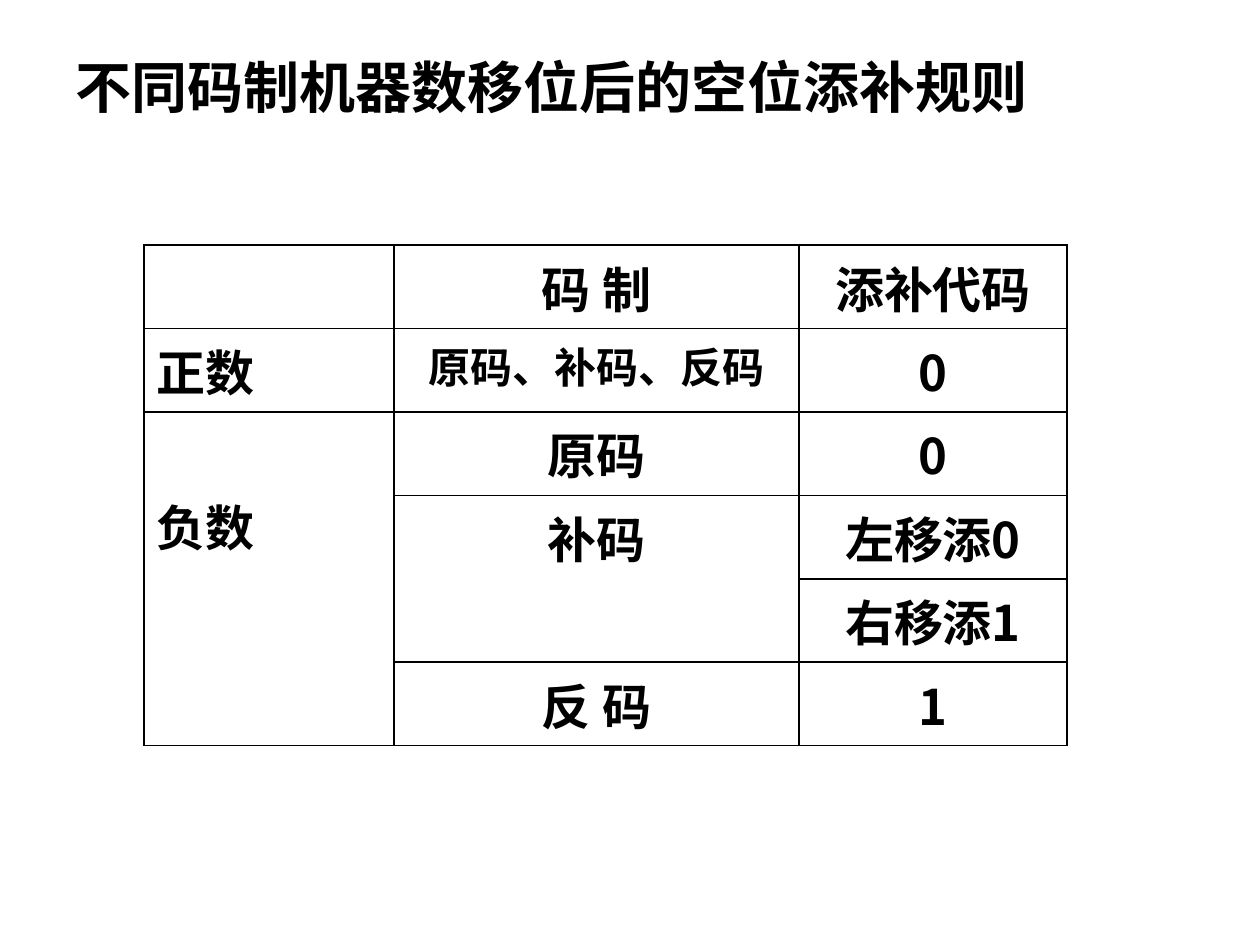
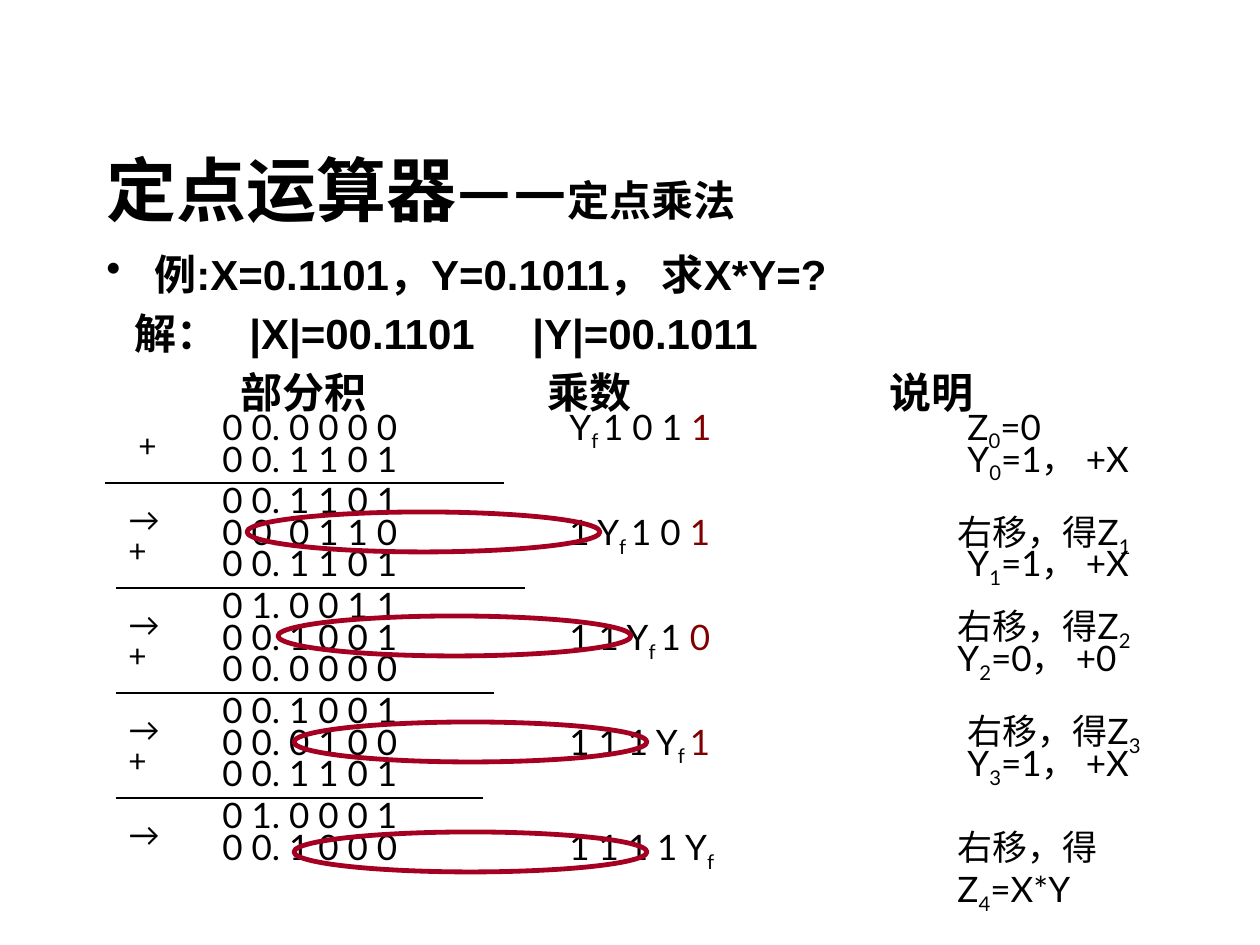
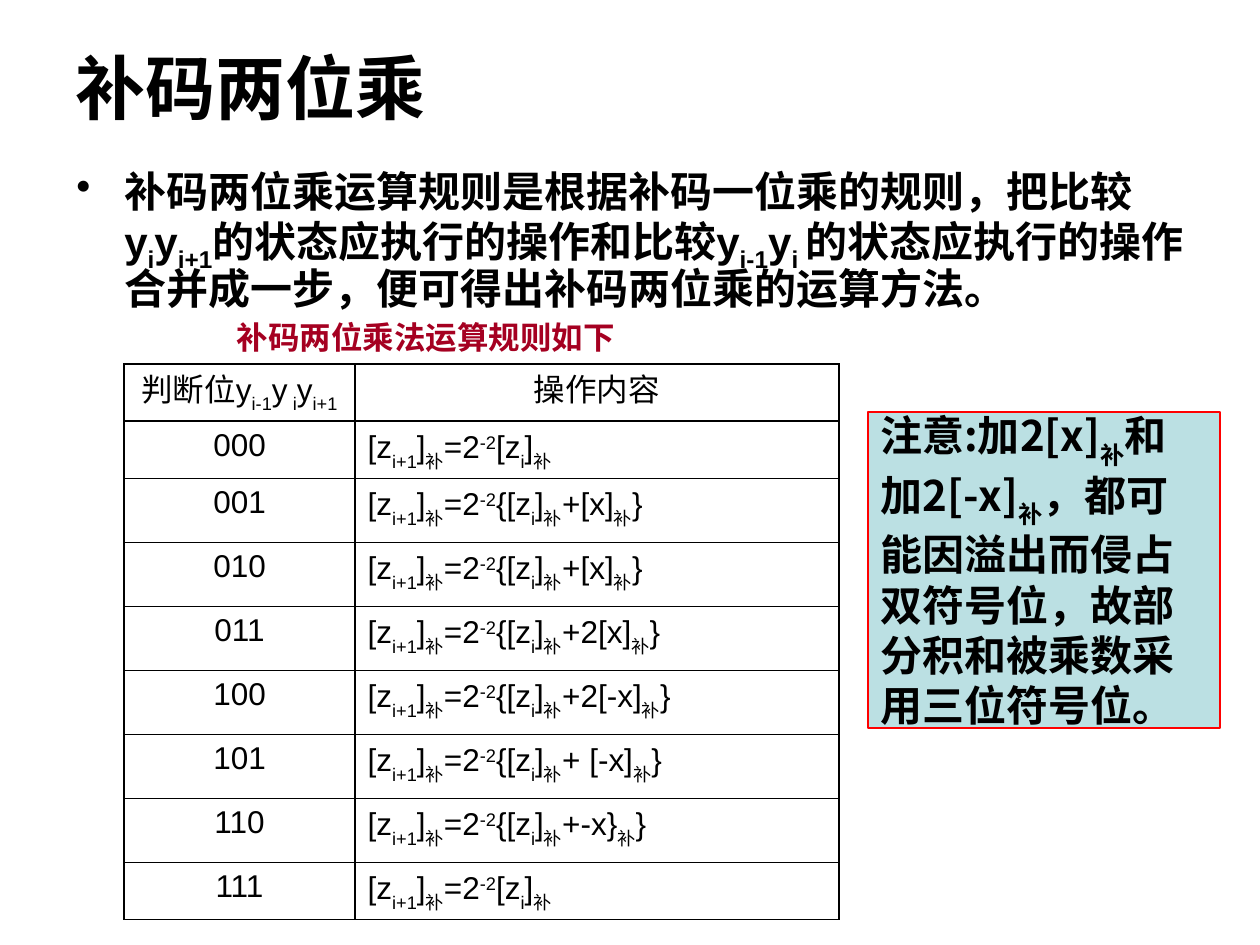
import pptx
import pptx.dml.color
import pptx.enum.shapes
import pptx.enum.text
import pptx.oxml
import pptx.oxml.ns
import pptx.util
import lxml.etree

PX = 914400 / 126
BLACK = pptx.dml.color.RGBColor(0x00, 0x00, 0x00)
WHITE = pptx.dml.color.RGBColor(0xFF, 0xFF, 0xFF)
CRIMSON = pptx.dml.color.RGBColor(0xA5, 0x00, 0x21)
MAROON = pptx.dml.color.RGBColor(0x80, 0x00, 0x00)
RED = pptx.dml.color.RGBColor(0xFF, 0x00, 0x00)
PALE_BLUE = pptx.dml.color.RGBColor(0xBB, 0xE0, 0xE3)
CJK = "Noto Sans CJK SC"
EAST_ASIAN = "Lato"
CENTER = pptx.enum.text.PP_ALIGN.CENTER
LEFT = pptx.enum.text.PP_ALIGN.LEFT
MIDDLE = pptx.enum.text.MSO_ANCHOR.MIDDLE
qn = pptx.oxml.ns.qn


def write(paragraph, text, size, name="Arial", bold=False, color=BLACK, shift=25000):
    """Pieces are split by `; a leading _ lowers, ^ raises, # turns maroon."""
    for piece in text.split("`"):
        mark = piece[0] if piece[0] in "_^#" else ""
        run = paragraph.add_run()
        run.text = piece[len(mark):]
        formats = {"size": pptx.util.Pt(size), "name": name, "bold": bold}
        for key, value in formats.items():
            setattr(run.font, key, value)
        run.font.color.rgb = MAROON if mark == "#" else color
        properties = run.font._element
        east_asian = lxml.etree.SubElement(properties, qn("a:ea"))
        east_asian.set("typeface", CJK if name == CJK else EAST_ASIAN)
        if mark in ("_", "^"):
            properties.set("baseline", str(-shift if mark == "_" else shift))


def add_grid(slide, left, top, widths, heights):
    """Add a table with white cells and thin black borders."""
    frame = slide.shapes.add_table(
        len(heights), len(widths), *[
            round(v * PX) for v in (left, top, sum(widths), sum(heights))])
    table = frame.table
    table.first_row = table.horz_banding = False
    for column, width in zip(table.columns, widths):
        column.width = round(width * PX)
    for row, height in zip(table.rows, heights):
        row.height = round(height * PX)
    for cell in table.iter_cells():
        cell.fill.solid()
        cell.fill.fore_color.rgb = WHITE
        for index, side in enumerate(("lnL", "lnR", "lnT", "lnB")):
            border = pptx.oxml.parse_xml(
                f'<a:{side} xmlns:a="http://schemas.openxmlformats.org/drawingml/2006/main"'
                f' w="12700"><a:solidFill><a:srgbClr val="{BLACK}"/></a:solidFill></a:{side}>')
            cell._tc.get_or_add_tcPr().insert(index, border)
    return table


presentation = pptx.Presentation()
presentation.slide_width = pptx.util.Inches(10)
presentation.slide_height = pptx.util.Inches(7.5)

# Slides and titles
titles = [
    ((63, 38, 1134, 97), [("不同码制机器数移位后的空位添补规则", 32)]),
    ((94, 136, 1061, 105), [("定点运算器——", 40), ("定点乘法", 24)]),
    ((63, 38, 1134, 97), [("补码两位乘", 40)]),
]
for box, parts in titles:
    slide = presentation.slides.add_slide(presentation.slide_layouts[5])
    title = slide.shapes.title
    for key, value in zip(("left", "top", "width", "height"), box):
        setattr(title, key, round(value * PX))
    title.text_frame.vertical_anchor = MIDDLE
    title.text_frame.auto_size = pptx.enum.text.MSO_AUTO_SIZE.NONE
    paragraph = title.text_frame.paragraphs[0]
    paragraph.alignment = LEFT
    for text, size in parts:
        write(paragraph, text, size, bold=True)
rules_slide, product_slide, two_bit_slide = presentation.slides

# Bulleted body text
bodies = [
    (product_slide, (94, 242, 1071, 598), 1.0, "例:X=0.1101，Y=0.1011， 求X*Y=?"),
    (two_bit_slide, (64, 165, 1134, 179), 0.9,
     "补码两位乘运算规则是根据补码一位乘的规则，把比较y`_i`y`_i+1`的状态应执行的操作和比较"
     "y`_i-1`y`_i `的状态应执行的操作合并成一步，便可得出补码两位乘的运算方法。"),
]
body_frames = []
for slide, box, spacing, text in bodies:
    frame = slide.shapes.add_textbox(*[round(v * PX) for v in box]).text_frame
    frame.word_wrap = True
    paragraph = frame.paragraphs[0]
    properties = paragraph._p.get_or_add_pPr()
    properties.set("marL", str(round(48 * PX)))
    properties.set("indent", str(round(-48 * PX)))
    lxml.etree.SubElement(properties, qn("a:buChar")).set("char", "•")
    paragraph.line_spacing = spacing
    write(paragraph, text, 24, bold=True)
    body_frames.append(frame)

# Fill rules table
rules = add_grid(rules_slide, 144, 245, (250, 405, 268), [83] * 6)
rules.cell(2, 0).merge(rules.cell(5, 0))
rules.cell(3, 1).merge(rules.cell(4, 1))
rules.cell(2, 0).margin_top = round(78 * PX)
rule_rows = [
    ("", "码 制", "添补代码"),
    ("正数", "原码、补码、反码", "0"),
    ("负数", "原码", "0"),
    ("", "补码", "左移添0"),
    ("", "", "右移添1"),
    ("", "反 码", "1"),
]
for row, texts in enumerate(rule_rows):
    for column, text in enumerate(texts):
        if text:
            paragraph = rules.cell(row, column).text_frame.paragraphs[0]
            paragraph.alignment = CENTER if column else LEFT
            write(paragraph, text, 24 if "、" in text else 28, CJK, True)

# Given values and column headings of the multiplication
tabbed_lines = [
    ("\t解：\t|X|=00.1101\t|Y|=00.1011", (28, 143, 426)),
    ("\t部分积\t乘数\t说明", (134, 441, 783)),
]
for text, stops in tabbed_lines:
    paragraph = body_frames[0].add_paragraph()
    tabs = lxml.etree.SubElement(paragraph._p.get_or_add_pPr(), qn("a:tabLst"))
    for stop in stops:
        tab = lxml.etree.SubElement(tabs, qn("a:tab"))
        tab.set("pos", str(round(stop * PX)))
        tab.set("algn", "l")
    paragraph.space_before = pptx.util.Pt(5)
    write(paragraph, text, 24, bold=True)

# Multiplication steps: left, top, width, size, text
STEP = 105
sums = ["0 0. 1 1 0 1", "0 1. 0 0 1 1", "0 0. 1 0 0 1", "0 1. 0 0 0 1"]
shifted = ["0 0. 0 1 1 0", "0 0. 1 0 0 1", "0 0. 0 1 0 0", "0 0. 1 0 0 0"]
addends = ["0 0. 1 1 0 1", "0 0. 0 0 0 0", "0 0. 1 1 0 1"]
multipliers = ["1 Y`_f `1 0 `#1", "1 1 Y`_f `1 `#0", "1 1 1 Y`_f `#1", "1 1 1 1 Y`_f"]
labels = [
    (210, 399, 305, 20, "0 0. 0 0 0 0"),
    (210, 431, 242, 20, "0 0. 1 1 0 1"),
    (126, 420, 73, 18, "+"),
    (557, 399, 220, 20, "Y`_f `1 0 1 `#1"),
    (955, 399, 116, 20, "Z`_0`=0"),
    (955, 431, 220, 20, "Y`_0`=1， +X"),
    (955, 535, 220, 20, "Y`_1`=1， +X"),
    (945, 630, 220, 20, "Y`_2`=0， +0"),
    (955, 735, 220, 20, "Y`_3`=1， +X"),
    (945, 504, 252, 20, "右移，得Z`_1"),
    (945, 598, 252, 20, "右移，得Z`_2"),
    (955, 703, 252, 20, "右移，得Z`_3"),
    (945, 819, 270, 20, "右移，得Z`_4`=X*Y"),
]
for step in range(4):
    offset = step * STEP
    labels += [
        (210, 472 + offset, 252, 20, sums[step]),
        (210, 504 + offset, 252, 20, shifted[step]),
        (557, 504 + offset, 220, 20, multipliers[step]),
        (116, 494 + offset, 73, 18, "→"),
    ]
for step, addend in enumerate(addends):
    labels += [
        (210, 535 + step * STEP, 252, 20, addend),
        (116, 525 + step * STEP, 73, 18, "+"),
    ]
for left, top, width, size, text in labels:
    box = [round(v * PX) for v in (left, top, width, 54)]
    frame = product_slide.shapes.add_textbox(*box).text_frame
    frame.word_wrap = True
    write(frame.paragraphs[0], text, size, "Lato")

# Sum lines
for step, (start, end) in enumerate([(105, 504), (116, 525), (116, 494), (116, 483)]):
    top = 483 + step * STEP
    connector = product_slide.shapes.add_connector(
        pptx.enum.shapes.MSO_CONNECTOR.STRAIGHT,
        *[round(v * PX) for v in (start, top, end, top)])
    connector.line.color.rgb = BLACK
    connector.line.width = pptx.util.Pt(0.75)
    lxml.etree.SubElement(connector._element.spPr, qn("a:effectLst"))

# Rings around the shifted digits
for left, top in [(247, 512), (278, 616), (294, 722), (294, 832)]:
    ring = product_slide.shapes.add_shape(
        pptx.enum.shapes.MSO_SHAPE.OVAL, *[round(v * PX) for v in (left, top, 353, 40)])
    ring.shadow.inherit = False
    ring.fill.background()
    ring.line.color.rgb = CRIMSON
    ring.line.width = pptx.util.Pt(2.75)

# Two-bit rule caption
caption = two_bit_slide.shapes.add_textbox(*[round(v * PX) for v in (223, 312, 406, 50)])
caption.text_frame.word_wrap = False
caption.text_frame.vertical_anchor = MIDDLE
caption.text_frame.paragraphs[0].alignment = CENTER
write(caption.text_frame.paragraphs[0], "补码两位乘法运算规则如下", 18, bold=True, color=CRIMSON)

# Two-bit rule table
operations = add_grid(two_bit_slide, 124, 364, (231, 484), [57, 57] + [64] * 6 + [57])
terms = ["", "+[x]", "+[x]", "+2[x]", "+2[-x]", "+ [-x]", "+-x}", ""]
operation_rows = [("判断位y`_i-1`y`_ i`y`_i+1", "操作内容")]
for number, term in enumerate(terms):
    result = "[z`_i+1`]`_补`=2`^-2`"
    result += "{[z`_i`]`_补`" + term + "`_补`}" if term else "[z`_i`]`_补"
    operation_rows.append((f"{number:03b}", result))
for row, texts in enumerate(operation_rows):
    for column, text in enumerate(texts):
        paragraph = operations.cell(row, column).text_frame.paragraphs[0]
        paragraph.alignment = LEFT if row and column else CENTER
        write(paragraph, text, 18, shift=30000)

# Overflow note
note = two_bit_slide.shapes.add_shape(
    pptx.enum.shapes.MSO_SHAPE.RECTANGLE, *[round(v * PX) for v in (868, 412, 352, 316)])
note.shadow.inherit = False
note.fill.solid()
note.fill.fore_color.rgb = PALE_BLUE
note.line.color.rgb = RED
note.line.width = pptx.util.Pt(0.75)
note.text_frame.word_wrap = True
note.text_frame.vertical_anchor = MIDDLE
paragraph = note.text_frame.paragraphs[0]
paragraph.alignment = LEFT
write(paragraph, "注意:加2[x]`_补`和加2[-x]`_补`，都可能因溢出而侵占双符号位，故部分积和被乘数采用三位符号位。",
      24, CJK, True, shift=30000)

presentation.save("out.pptx")
